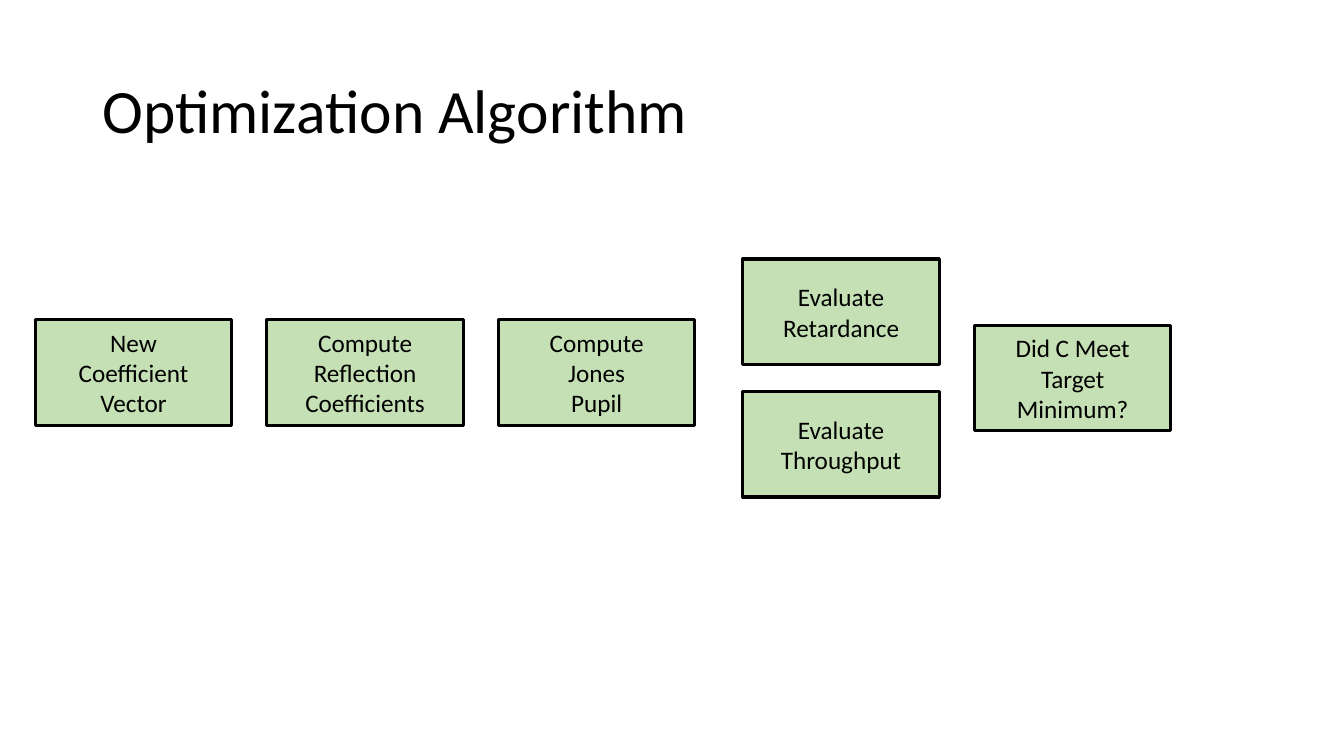
from dataclasses import dataclass

from pptx import Presentation
from pptx.dml.color import RGBColor
from pptx.enum.shapes import MSO_SHAPE
from pptx.enum.text import MSO_ANCHOR, MSO_AUTO_SIZE, PP_ALIGN
from pptx.util import Pt

RECTANGLE = MSO_SHAPE.RECTANGLE
MIDDLE = MSO_ANCHOR.MIDDLE
NO_AUTOFIT = MSO_AUTO_SIZE.NONE
LEFT, CENTER = PP_ALIGN.LEFT, PP_ALIGN.CENTER
TITLE_ONLY = 5

SLIDE_WIDTH, SLIDE_HEIGHT = 960, 540
STEP_WIDTH, STEP_HEIGHT = 140.4, 75.6
STEP_PITCH = 165.4
FIRST_LEFT, EVALUATE_LEFT = 25.2, 530.6
SEQUENCE_TOP = 228.2
EVALUATE_PITCH = 94.4
EVALUATE_MIDDLE = SLIDE_HEIGHT / 2

SEQUENCE = [
    ["New", "Coefficient", "Vector"],
    ["Compute", "Reflection", "Coefficients"],
    ["Compute", "Jones", "Pupil"],
]
EVALUATIONS = [["Evaluate", "Retardance"], ["Evaluate", "Throughput"]]
DECISION = ["Did C Meet Target Minimum?"]


@dataclass(frozen=True)
class Theme:
    """Colours, font and sizes of the slide."""

    ink: RGBColor = RGBColor(0x00, 0x00, 0x00)
    step_fill: RGBColor = RGBColor(0xC5, 0xE0, 0xB4)
    font: str = "Calibri"
    title_size: float = 44
    step_size: float = 18
    outline: float = 2.25


THEME = Theme()


def add_run(paragraph, wording, size):
    """Append one run in the theme font and ink."""
    run = paragraph.add_run()
    run.text = wording
    run.font.name = THEME.font
    run.font.size = Pt(size)
    run.font.color.rgb = THEME.ink


def set_title(slide, wording):
    """Place and format the title placeholder."""
    title = slide.shapes.title
    title.left, title.top = Pt(66), Pt(28.8)
    title.width, title.height = Pt(828), Pt(104.4)
    frame = title.text_frame
    frame.auto_size = NO_AUTOFIT
    frame.vertical_anchor = MIDDLE
    heading = frame.paragraphs[0]
    heading.alignment = LEFT
    heading.line_spacing = 0.9
    add_run(heading, wording, THEME.title_size)


def add_step(slide, left, top, lines):
    """Add one outlined step box with a centred paragraph per line."""
    step = slide.shapes.add_shape(
        RECTANGLE, Pt(left), Pt(top), Pt(STEP_WIDTH), Pt(STEP_HEIGHT)
    )
    step.shadow.inherit = False
    step.fill.solid()
    step.fill.fore_color.rgb = THEME.step_fill
    step.line.color.rgb = THEME.ink
    step.line.width = Pt(THEME.outline)
    frame = step.text_frame
    frame.word_wrap = True
    frame.vertical_anchor = MIDDLE
    for index, wording in enumerate(lines):
        paragraph = frame.add_paragraph() if index else frame.paragraphs[0]
        paragraph.alignment = CENTER
        add_run(paragraph, wording, THEME.step_size)


def main():
    """Build the slide and save it."""
    deck = Presentation()
    deck.slide_width, deck.slide_height = Pt(SLIDE_WIDTH), Pt(SLIDE_HEIGHT)
    slide = deck.slides.add_slide(deck.slide_layouts[TITLE_ONLY])
    set_title(slide, "Optimization Algorithm")

    for column, lines in enumerate(SEQUENCE):
        add_step(slide, FIRST_LEFT + column * STEP_PITCH, SEQUENCE_TOP, lines)

    decision_top = EVALUATE_MIDDLE - STEP_HEIGHT / 2
    evaluate_top = decision_top - EVALUATE_PITCH / 2
    for row, lines in enumerate(EVALUATIONS):
        add_step(slide, EVALUATE_LEFT, evaluate_top + row * EVALUATE_PITCH, lines)

    add_step(slide, EVALUATE_LEFT + STEP_PITCH, decision_top, DECISION)
    deck.save("out.pptx")


main()
